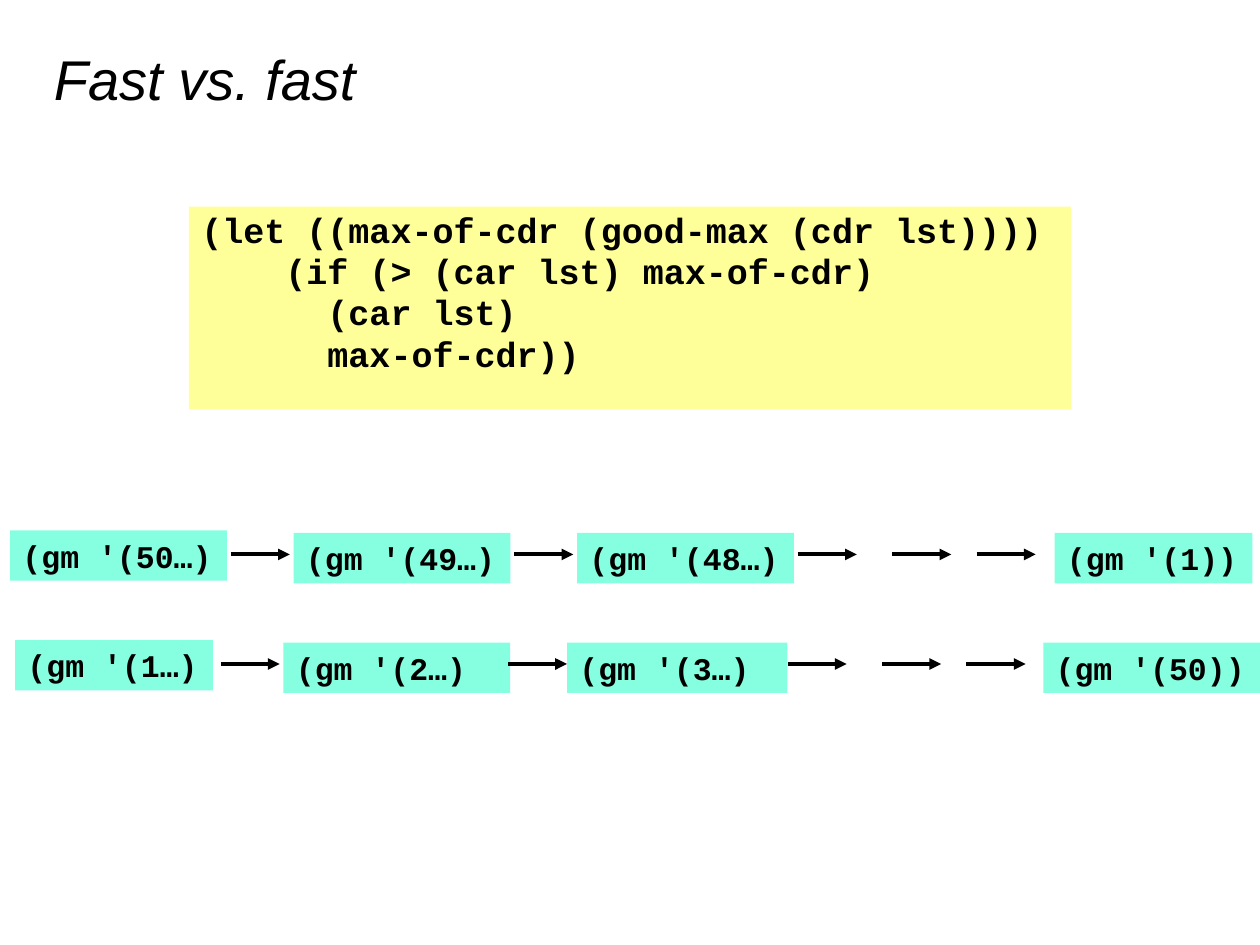
from lxml import etree
from pptx import Presentation
from pptx.dml.color import RGBColor
from pptx.enum import shapes, text
from pptx.oxml.ns import qn
from pptx.util import Inches, Pt

BLACK, YELLOW, MINT = "000000", "FFFF99", "85FFE0"
MONO = "Courier New"
CODE = """(let ((max-of-cdr (good-max (cdr lst))))
    (if (> (car lst) max-of-cdr)
      (car lst)
      max-of-cdr))"""


def color(code):
    return RGBColor.from_string(code)


def write(frame, words, size=18, font=MONO, bold=False, italic=False,
          anchor=text.MSO_ANCHOR.TOP, wrap=True, hang=0, gap=0, pitch=None):
    frame.word_wrap = wrap
    frame.vertical_anchor = anchor
    for i, line in enumerate(words.split("\n")):
        para = frame.add_paragraph() if i else frame.paragraphs[0]
        para.alignment = text.PP_ALIGN.LEFT
        para.line_spacing = pitch
        para.space_before = Pt(gap if i else 0)
        if hang:
            props = para._p.get_or_add_pPr()
            props.set("marL", str(Inches(hang)))
            props.set("indent", str(-Inches(hang)))
        run = para.add_run()
        run.text = line
        run.font.size, run.font.name = Pt(size), font
        run.font.bold, run.font.italic = bold, italic
        run.font.color.rgb = color(BLACK)


def panel(slide, box, fill, words, **style):
    shape = slide.shapes.add_shape(shapes.MSO_SHAPE.RECTANGLE, *map(Inches, box))
    shape.shadow.inherit = False
    shape.fill.solid()
    shape.fill.fore_color.rgb = color(fill)
    shape.line.fill.background()
    write(shape.text_frame, words, bold=True, **style)


def arrow(slide, left, top, width=0.47):
    line = slide.shapes.add_connector(
        shapes.MSO_CONNECTOR.STRAIGHT,
        *map(Inches, (left, top, left + width, top)))
    line.line.color.rgb = color(BLACK)
    line.line.width = Pt(2.25)
    etree.SubElement(line.line._get_or_add_ln(), qn("a:tailEnd"), type="triangle")
    etree.SubElement(line._element.spPr, qn("a:effectLst"))


def title(slide, box):
    frame = slide.shapes.add_textbox(*map(Inches, box)).text_frame
    write(frame, "Fast vs. fast", size=32, font="Arial", italic=True,
          anchor=text.MSO_ANCHOR.MIDDLE)


def calls(slide, top, steps, arrows):
    """Draw one chain of calls; the first step sits slightly higher."""
    for i, (left, width, words) in enumerate(steps):
        rise = 0 if i else 0.02
        panel(slide, (left, top - rise, width, 0.4), MINT, words, wrap=False)
    for left in arrows:
        arrow(slide, left, top + 0.17)


def main():
    deck = Presentation()
    deck.slide_width, deck.slide_height = Inches(10), Inches(7.5)
    slide = deck.slides.add_slide(deck.slide_layouts[6])
    title(slide, (0.33, 0.33, 9.33, 0.58))
    panel(slide, (1.5, 1.64, 7, 1.61), YELLOW, CODE,
          size=20, hang=0.38, gap=2, pitch=0.9)
    calls(slide, 4.23,
          [(0.08, 1.72, "(gm '(50…)"), (2.33, 1.72, "(gm '(49…)"),
           (4.58, 1.72, "(gm '(48…)"), (8.37, 1.57, "(gm '(1))")],
          [1.83, 4.08, 6.33, 7.08, 7.75])
    # The two middle boxes are wider than their words, so text must wrap left.
    calls(slide, 5.1,
          [(0.12, 1.57, "(gm '(1…)"), (2.25, 1.8, "(gm '(2…)"),
           (4.5, 1.75, "(gm '(3…)"), (8.28, 1.72, "(gm '(50))")],
          [1.75, 4.03, 6.25, 7, 7.67])
    deck.save("out.pptx")


if __name__ == "__main__":
    main()
